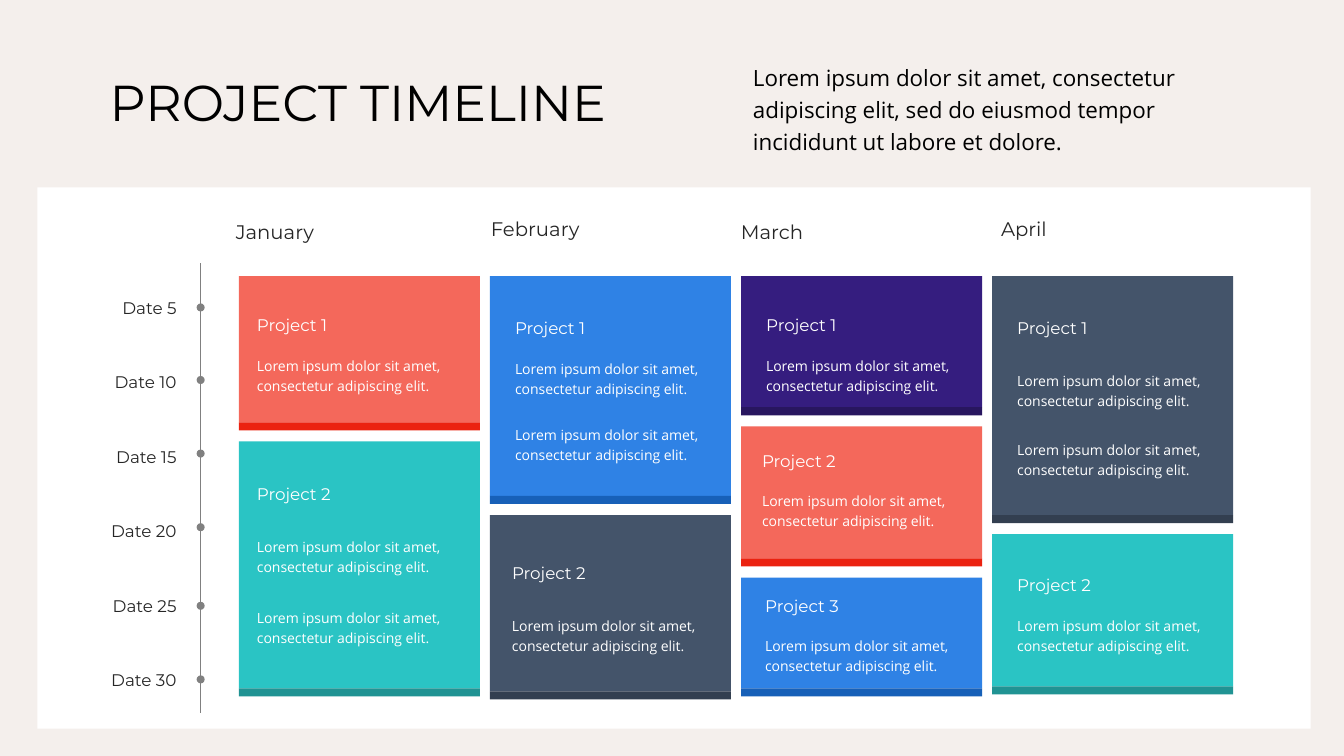
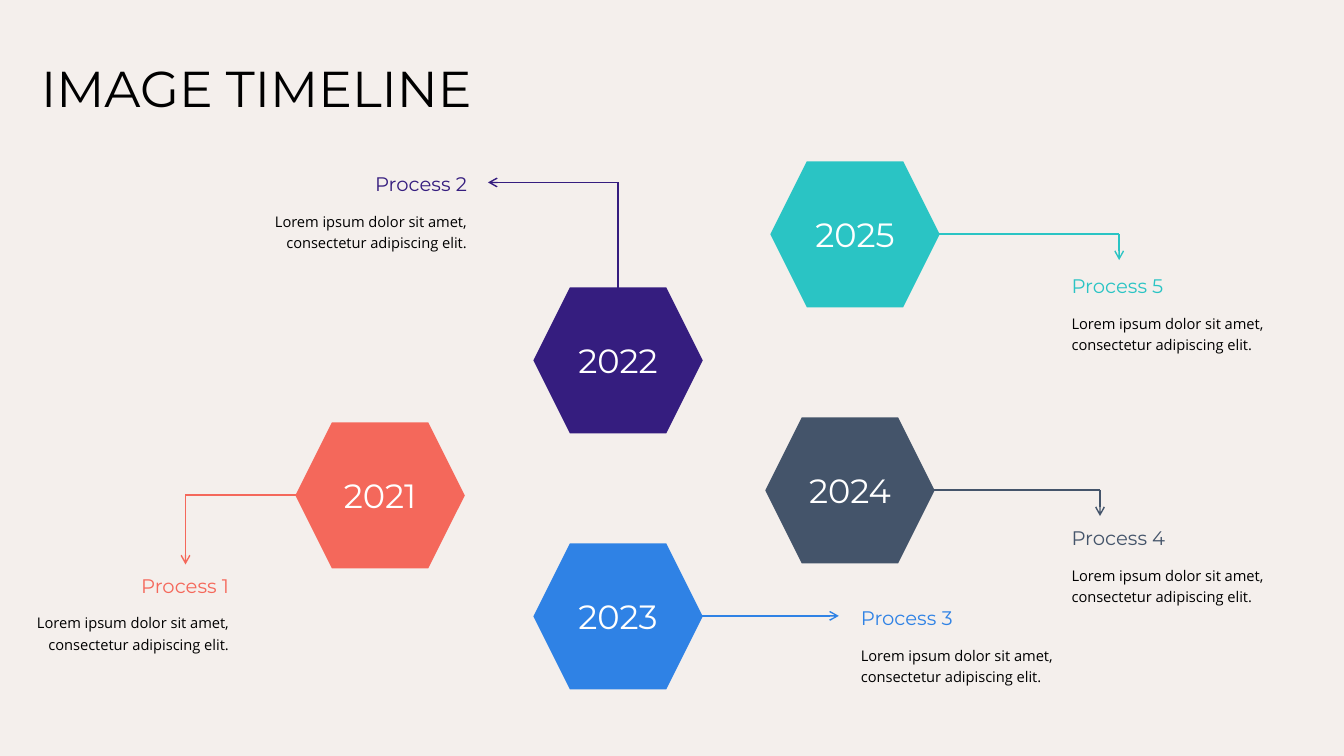
"""Build a project timeline slide and a process timeline slide."""
from itertools import pairwise

from lxml import etree
from pptx import Presentation
from pptx.dml.color import RGBColor
from pptx.enum import shapes, text
from pptx.oxml.ns import qn
from pptx.util import Inches, Pt

PAPER = RGBColor(0xF4, 0xEF, 0xEC)
WHITE = RGBColor(0xFF, 0xFF, 0xFF)
BLACK = RGBColor(0, 0, 0)
INK = RGBColor(0x26, 0x26, 0x26)
GREY = RGBColor(0x80, 0x80, 0x80)
CORAL = RGBColor(0xF4, 0x68, 0x5B)
TEAL = RGBColor(0x2A, 0xC4, 0xC4)
BLUE = RGBColor(0x2F, 0x82, 0xE5)
PURPLE = RGBColor(0x35, 0x1D, 0x7F)
SLATE = RGBColor(0x44, 0x54, 0x6A)
EDGES = {
    CORAL: RGBColor(0xEB, 0x22, 0x10),
    TEAL: RGBColor(0x20, 0x93, 0x93),
    BLUE: RGBColor(0x17, 0x60, 0xB8),
    PURPLE: RGBColor(0x28, 0x16, 0x5F),
    SLATE: RGBColor(0x33, 0x3F, 0x50),
}
HEAD_FONT, BODY_FONT = "Montserrat", "Open Sans"
LEFT, CENTER, RIGHT = text.PP_ALIGN.LEFT, text.PP_ALIGN.CENTER, text.PP_ALIGN.RIGHT
SHAPE = shapes.MSO_SHAPE

WIDTH, HEIGHT = 13.33, 7.5
LOREM = "Lorem ipsum dolor sit amet, consectetur adipiscing elit."
INTRO = ("Lorem ipsum dolor sit amet, consectetur adipiscing elit, "
         "sed do eiusmod tempor incididunt ut labore et dolore.")

# Month: name, label offset and top, then cards as
# colour, height, text offset, heading offset, body offsets.
MONTHS = [
    ("January", -0.13, 2.13, [
        (CORAL, 1.45, 0.08, 0.33, [0.72]),
        (TEAL, 2.45, 0.08, 0.37, [0.88, 1.58])]),
    ("February", -0.09, 2.10, [
        (BLUE, 2.18, 0.15, 0.36, [0.75, 1.41]),
        (SLATE, 1.75, 0.12, 0.42, [0.93])]),
    ("March", -0.10, 2.13, [
        (PURPLE, 1.30, 0.15, 0.33, [0.72]),
        (CORAL, 1.31, 0.11, 0.19, [0.57]),
        (BLUE, 1.10, 0.14, 0.13, [0.51])]),
    ("April", -0.01, 2.10, [
        (SLATE, 2.37, 0.15, 0.36, [0.87, 1.56]),
        (TEAL, 1.51, 0.15, 0.35, [0.74])]),
]
COLUMN_LEFT, COLUMN_STEP, CARD_WIDTH = 2.37, 2.49, 2.39
CARD_TOP, EDGE_HEIGHT, CARD_GAP = 2.74, 0.08, 0.11

DATES = [("Date 5", 3.01), ("Date 10", 3.73), ("Date 15", 4.46),
         ("Date 20", 5.19), ("Date 25", 5.97), ("Date 30", 6.70)]
DATE_TOP, DATE_STEP, AXIS, DOT = 2.9, 0.74, 1.99, 0.08

# Process: year, colour, hexagon corner, label, text edge, label top,
# alignment, and the arrow's route away from the hexagon.
PROCESSES = [
    ("2021", CORAL, (2.93, 4.19), "Process 1", 2.37, 5.64, RIGHT,
     [(3.18, 4.91), (1.84, 4.91), (1.84, 5.60)]),
    ("2022", PURPLE, (5.29, 2.85), "Process 2", 4.73, 1.66, RIGHT,
     [(6.13, 3.32), (6.13, 1.81), (4.84, 1.81)]),
    ("2023", BLUE, (5.29, 5.39), "Process 3", 8.44, 5.96, LEFT,
     [(6.71, 6.11), (8.32, 6.11)]),
    ("2024", SLATE, (7.59, 4.14), "Process 4", 10.53, 5.17, LEFT,
     [(9.03, 4.86), (10.91, 4.86), (10.91, 5.12)]),
    ("2025", TEAL, (7.64, 1.60), "Process 5", 10.53, 2.67, LEFT,
     [(9.22, 2.32), (11.10, 2.32), (11.10, 2.58)]),
]
HEX_WIDTH, HEX_HEIGHT = 1.68, 1.45


def write(frame, words, size, font, colour, align=LEFT):
    para = frame.paragraphs[0]
    para.alignment = align
    if font == BODY_FONT:
        para.line_spacing = 1.2
    span = para.add_run()
    span.text = words
    span.font.size = Pt(size)
    span.font.name = font
    span.font.color.rgb = colour


def add_text(page, at, words, size, font, colour, align=LEFT):
    frame = page.shapes.add_textbox(*map(Inches, at)).text_frame
    frame.word_wrap = True
    frame.auto_size = text.MSO_AUTO_SIZE.SHAPE_TO_FIT_TEXT
    write(frame, words, size, font, colour, align)


def add_block(page, kind, at, colour):
    block = page.shapes.add_shape(kind, *map(Inches, at))
    block.shadow.inherit = False
    block.fill.solid()
    block.fill.fore_color.rgb = colour
    block.line.fill.background()
    return block


def add_line(page, start, end, colour, weight, arrow=False):
    line = page.shapes.add_connector(
        shapes.MSO_CONNECTOR.STRAIGHT, *map(Inches, start + end))
    line.line.color.rgb = colour
    line.line.width = Pt(weight)
    if arrow:
        etree.SubElement(line.line._get_or_add_ln(), qn("a:tailEnd"), type="arrow")
    etree.SubElement(line._element.spPr, qn("a:effectLst"))


def add_page(deck, title, left, top):
    page = deck.slides.add_slide(deck.slide_layouts[6])
    page.background.fill.solid()
    page.background.fill.fore_color.rgb = PAPER
    add_text(page, (left, top, 6.5, 0.71), title, 36, HEAD_FONT, BLACK)
    return page


def add_card(page, left, top, number, card):
    colour, height, indent, head, bodies = card
    add_block(page, SHAPE.RECTANGLE, (left, top, CARD_WIDTH, height), colour)
    add_block(page, SHAPE.RECTANGLE,
              (left, top + height, CARD_WIDTH, EDGE_HEIGHT), EDGES[colour])
    add_text(page, (left + indent, top + head, 1.31, 0.3),
             f"Project {number}", 12, HEAD_FONT, WHITE)
    for body in bodies:
        add_text(page, (left + indent, top + body, 2.16, 0.51),
                 LOREM, 10, BODY_FONT, WHITE)
    return top + height + EDGE_HEIGHT + CARD_GAP


def build_projects(deck):
    page = add_page(deck, "PROJECT TIMELINE", 0.99, 0.66)
    add_text(page, (7.37, 0.53, 5.06, 1.05), INTRO, 16, BODY_FONT, BLACK)
    add_block(page, SHAPE.RECTANGLE, (0.37, 1.86, 12.63, 5.37), WHITE)

    add_line(page, (AXIS, 2.61), (AXIS, 7.07), GREY, 0.5)
    for row, (date, dot_top) in enumerate(DATES):
        add_text(page, (0.86, DATE_TOP + row * DATE_STEP, 0.99, 0.3),
                 date, 12, HEAD_FONT, INK, RIGHT)
        add_block(page, SHAPE.FLOWCHART_CONNECTOR,
                  (AXIS - DOT / 2, dot_top, DOT, DOT), GREY)

    for column, (month, shift, label_top, cards) in enumerate(MONTHS):
        left = COLUMN_LEFT + column * COLUMN_STEP
        add_text(page, (left + shift, label_top, 1.52, 0.34),
                 month, 14, HEAD_FONT, INK)
        top = CARD_TOP
        for number, card in enumerate(cards, 1):
            top = add_card(page, left, top, number, card)


def build_processes(deck):
    page = add_page(deck, "IMAGE TIMELINE", 0.31, 0.52)
    for year, colour, corner, label, edge, top, align, route in PROCESSES:
        hexagon = add_block(page, SHAPE.HEXAGON,
                            corner + (HEX_WIDTH, HEX_HEIGHT), colour)
        hexagon.text_frame.vertical_anchor = text.MSO_ANCHOR.MIDDLE
        write(hexagon.text_frame, year, 24, HEAD_FONT, WHITE, CENTER)

        for start, end in pairwise(route):
            add_line(page, start, end, colour, 1, arrow=end == route[-1])

        label_width, body_width = 1.54, 2.37 if align == RIGHT else 2.8
        label_left = edge - label_width if align == RIGHT else edge
        body_left = edge - body_width if align == RIGHT else edge
        add_text(page, (label_left, top, label_width, 0.34),
                 label, 14, HEAD_FONT, colour, align)
        add_text(page, (body_left, top + 0.37, body_width, 0.51),
                 LOREM, 10.5, BODY_FONT, BLACK, align)


def main():
    deck = Presentation()
    deck.slide_width, deck.slide_height = Inches(WIDTH), Inches(HEIGHT)
    build_projects(deck)
    build_processes(deck)
    deck.save("out.pptx")


if __name__ == "__main__":
    main()
